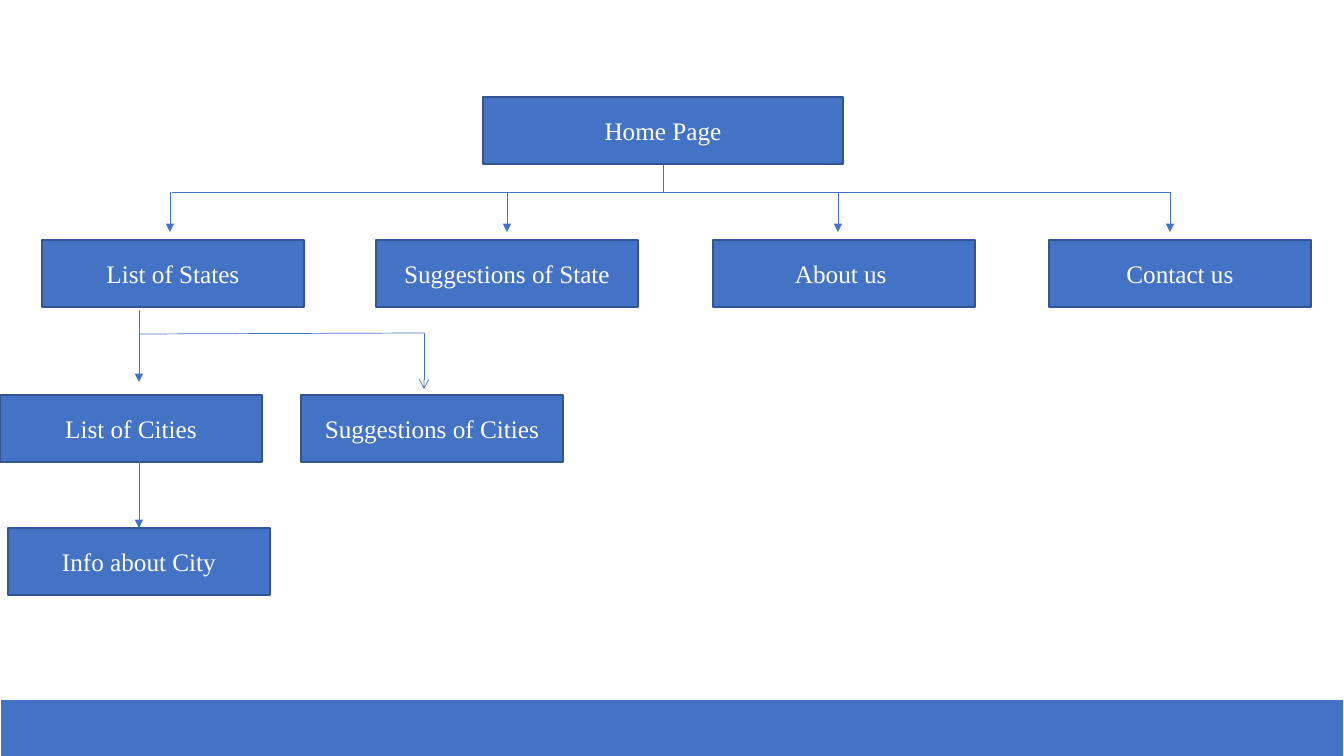
import pptx
import pptx.util
import pptx.dml.color
import pptx.enum.shapes
import pptx.enum.text
import pptx.oxml
import pptx.oxml.ns

BLUE, NAVY, WHITE = "4472C4", "325491", "FFFFFF"
FONT = {"name": "Times New Roman", "size": pptx.util.Pt(18)}
FRAME = {"word_wrap": True, "vertical_anchor": pptx.enum.text.MSO_ANCHOR.MIDDLE}

SLIDE_W, SLIDE_H = 1344, 756
PAGE_W, PAGE_H = 262, 67
HOME_W = 360
# label: (left, top, width)
PAGES = {
    "Home Page": (483, 97, HOME_W),
    "List of States": (42, 240, PAGE_W),
    "Suggestions of State": (376, 240, PAGE_W),
    "About us ": (713, 240, PAGE_W),
    "Contact us": (1049, 240, PAGE_W),
    "List of Cities": (0, 395, PAGE_W),
    "Suggestions of Cities": (301, 395, PAGE_W),
    "Info about City": (8, 528, PAGE_W),
}
BAND = (0, 699, SLIDE_W, 66)

HOME_X, BUS_Y, DROP_END = 663, 192, 232
BUS_LEFT, BUS_RIGHT = 172, 1170
DROPS = [170, 507, 838, BUS_RIGHT]
CITY_X, BRANCH_X, BRANCH_Y = 139, 424, 333


def px(n):
    return pptx.util.Emu(round(n * 914400 / 100.8))


def rgb(code):
    return pptx.dml.color.RGBColor.from_string(code)


def add_box(slide, box, outline, label=None):
    s = slide.shapes.add_shape(
        pptx.enum.shapes.MSO_SHAPE.RECTANGLE, *map(px, box))
    s.shadow.inherit = False
    s.fill.solid()
    s.fill.fore_color.rgb = rgb(BLUE)
    s.line.color.rgb = rgb(outline)
    s.line.width = pptx.util.Pt(1)
    if label:
        tf = s.text_frame
        for key, value in FRAME.items():
            setattr(tf, key, value)
        p = tf.paragraphs[0]
        p.alignment = pptx.enum.text.PP_ALIGN.CENTER
        r = p.add_run()
        r.text = label
        for key, value in FONT.items():
            setattr(r.font, key, value)
        r.font.color.rgb = rgb(WHITE)
    return s


def add_line(slide, x1, y1, x2, y2, head=None):
    """Draw a straight line, with an arrowhead of type head at its end."""
    c = slide.shapes.add_connector(
        pptx.enum.shapes.MSO_CONNECTOR.STRAIGHT, *map(px, (x1, y1, x2, y2)))
    c.line.color.rgb = rgb(BLUE)
    c.line.width = pptx.util.Pt(0.5)
    if head:
        tail = pptx.oxml.parse_xml(
            f'<a:tailEnd {pptx.oxml.ns.nsdecls("a")} type="{head}"/>')
        c.line._get_or_add_ln().append(tail)
    c._element.spPr.append(pptx.oxml.parse_xml(
        f'<a:effectLst {pptx.oxml.ns.nsdecls("a")}/>'))
    return c


def main():
    prs = pptx.Presentation()
    prs.slide_width, prs.slide_height = px(SLIDE_W), px(SLIDE_H)
    slide = prs.slides.add_slide(prs.slide_layouts[6])

    boxes = {label: add_box(slide, (left, top, width, PAGE_H), NAVY, label)
             for label, (left, top, width) in PAGES.items()}
    add_box(slide, BAND, WHITE)

    stem = add_line(slide, HOME_X, 164, HOME_X, BUS_Y)
    stem.begin_connect(boxes["Home Page"], 2)
    for x in (BUS_LEFT, BUS_RIGHT):
        add_line(slide, HOME_X, BUS_Y, x, BUS_Y)
    for x in DROPS:
        add_line(slide, x, BUS_Y, x, DROP_END, "triangle")

    add_line(slide, CITY_X, 310, CITY_X, 382, "triangle")
    info = add_line(slide, CITY_X, 456, CITY_X, 528, "triangle")
    info.end_connect(boxes["Info about City"], 0)
    add_line(slide, CITY_X, BRANCH_Y + 1, BRANCH_X, BRANCH_Y)
    add_line(slide, BRANCH_X, BRANCH_Y, BRANCH_X, 389, "arrow")

    prs.save("out.pptx")


if __name__ == "__main__":
    main()
